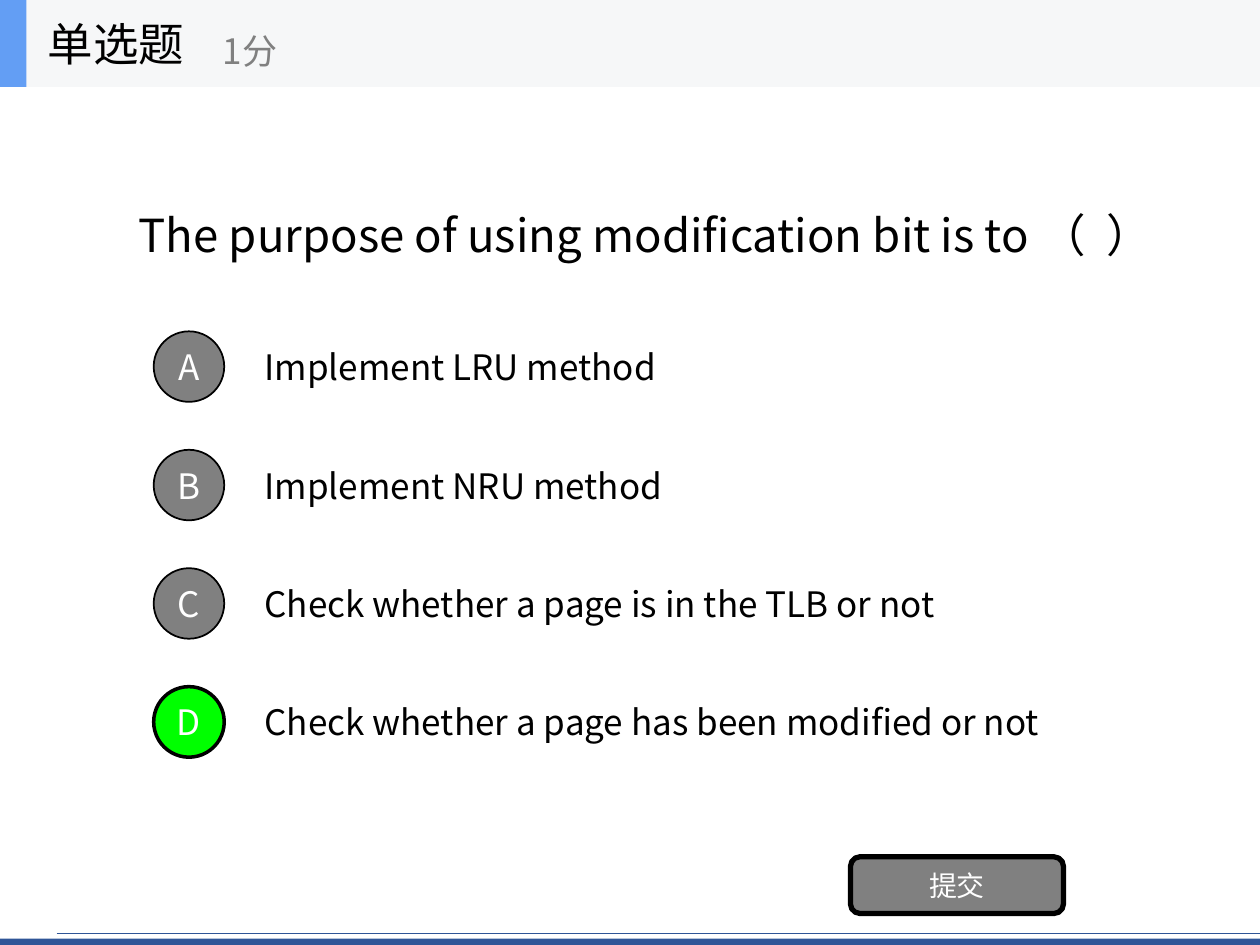
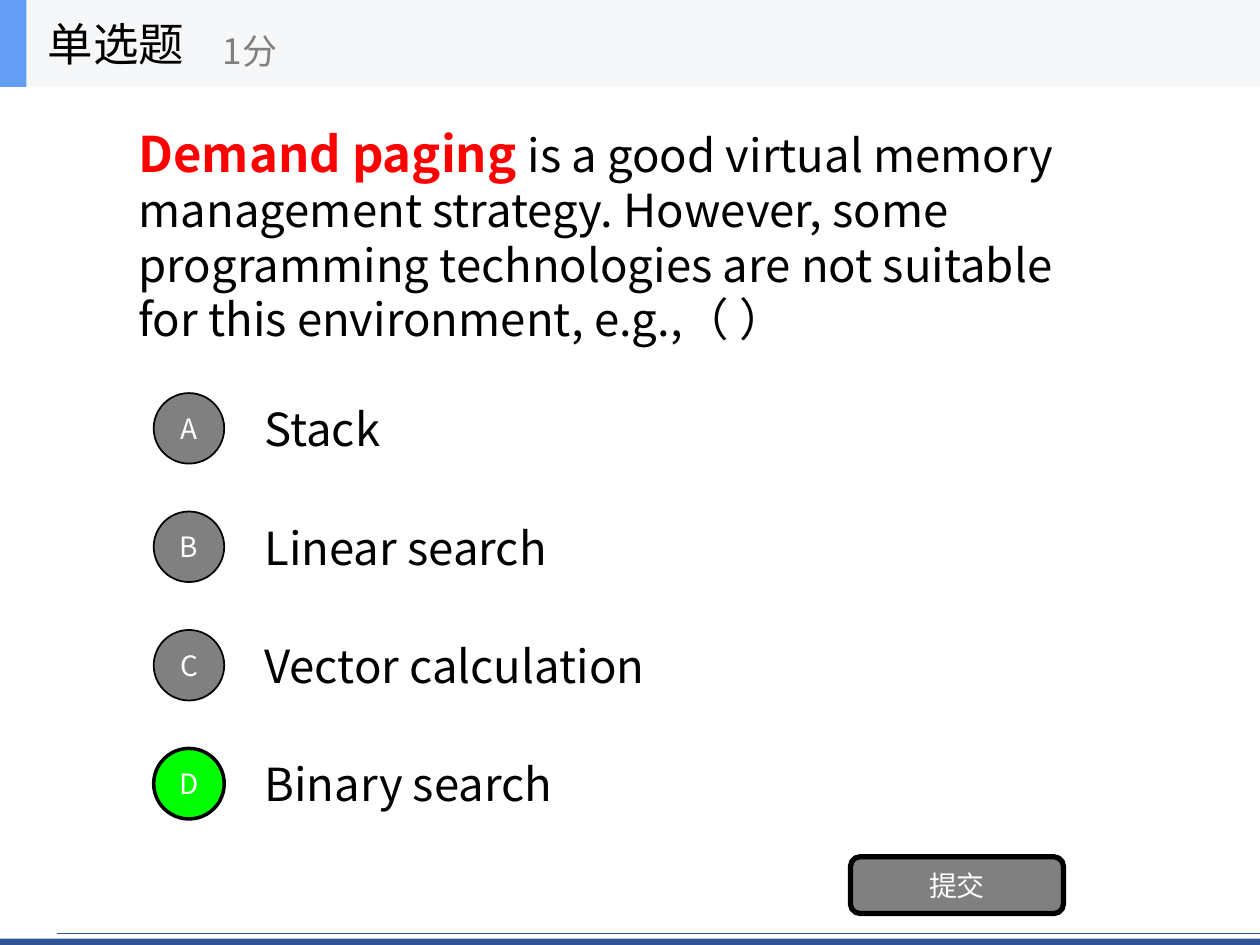
from dataclasses import dataclass

import pptx
import pptx.dml.color
import pptx.enum.shapes
import pptx.enum.text
import pptx.oxml
import pptx.oxml.ns
import pptx.util
from pptx.util import Inches

FONT = "Noto Sans CJK SC"
COLORS = {
    "text": "000000",
    "light": "FFFFFF",
    "grey": "808080",
    "correct": "00FF00",
    "emphasis": "FF0000",
    "header": "F6F7F8",
    "accent": "639EF4",
    "footer": "2F5597",
}
OPTION_PITCH = 0.94
SHAPES = pptx.enum.shapes.MSO_SHAPE
ALIGN = pptx.enum.text.PP_ALIGN
MIDDLE = pptx.enum.text.MSO_ANCHOR.MIDDLE


@dataclass
class Run:
    text: str
    size: float
    color: str = "text"
    bold: bool = False


@dataclass
class Option:
    text: str
    width: float = 7


@dataclass
class Question:
    runs: list[Run]
    width: float
    options: list[Option]
    options_top: float
    option_size: float
    letter_size: float
    answer: str


QUESTIONS = [
    Question(
        runs=[Run("The purpose of using modification bit is to （  ）", 26)],
        width=8.42,
        options=[
            Option("Implement LRU method"),
            Option("Implement NRU method"),
            Option("Check whether a page is in the TLB or not", 7.48),
            Option("Check whether a page has been modified or not", 7.42),
        ],
        options_top=2.56,
        option_size=20,
        letter_size=20,
        answer="D",
    ),
    Question(
        runs=[
            Run("Demand paging ", 28, "emphasis", True),
            Run("is a good virtual memory management strategy. However, some "
                "programming technologies are not suitable for this "
                "environment, e.g.,（ ）", 26),
        ],
        width=8,
        options=[
            Option("Stack"),
            Option("Linear search"),
            Option("Vector calculation"),
            Option("Binary search"),
        ],
        options_top=3.05,
        option_size=26,
        letter_size=16,
        answer="D",
    ),
]


def rgb(name: str) -> pptx.dml.color.RGBColor:
    return pptx.dml.color.RGBColor.from_string(COLORS[name])


def write(sp, runs: list[Run], *, align=ALIGN.LEFT) -> None:
    tf = sp.text_frame
    tf.auto_size = pptx.enum.text.MSO_AUTO_SIZE.NONE
    tf.word_wrap = True
    tf.vertical_anchor = MIDDLE
    p = tf.paragraphs[0]
    p.alignment = align
    for run in runs:
        r = p.add_run()
        r.text = run.text
        r.font.name = FONT
        r.font.size = pptx.util.Pt(run.size)
        r.font.bold = run.bold
        r.font.color.rgb = rgb(run.color)
        ea = pptx.oxml.ns.qn("a:ea")
        r.font._element.find(pptx.oxml.ns.qn("a:latin")).addnext(
            r.font._element.makeelement(ea, {"typeface": FONT}))


def add_text(s, left: float, top: float, width: float, height: float,
             run: Run) -> None:
    sp = s.shapes.add_textbox(Inches(left), Inches(top),
                              Inches(width), Inches(height))
    write(sp, [run])


def add_block(s, kind, left: float, top: float, width: float, height: float,
              fill: str, *, line_width: float = 0, label: Run | None = None) -> None:
    sp = s.shapes.add_shape(kind, Inches(left), Inches(top),
                            Inches(width), Inches(height))
    sp.shadow.inherit = False
    sp.fill.solid()
    sp.fill.fore_color.rgb = rgb(fill)
    if line_width:
        sp.line.color.rgb = rgb("text")
        sp.line.width = pptx.util.Pt(line_width)
    else:
        sp.line.fill.background()
    if label:
        sp.text_frame.margin_left = sp.text_frame.margin_right = 0
        write(sp, [label], align=ALIGN.CENTER)


def add_footer(s) -> None:
    add_block(s, SHAPES.RECTANGLE, 0, 7.45, 10, 0.05, "footer")
    rule = s.shapes.add_connector(pptx.enum.shapes.MSO_CONNECTOR.STRAIGHT,
                                  Inches(0.45), Inches(7.41),
                                  Inches(10), Inches(7.41))
    rule.line.color.rgb = rgb("footer")
    rule.line.width = pptx.util.Pt(0.5)
    rule._element.spPr.append(
        pptx.oxml.parse_xml(f"<a:effectLst {pptx.oxml.ns.nsdecls('a')}/>"))


def add_header(s) -> None:
    add_block(s, SHAPES.RECTANGLE, 0, 0, 10, 0.69, "header")
    add_block(s, SHAPES.RECTANGLE, 0, 0, 0.21, 0.69, "accent")
    add_text(s, 0.28, 0, 2.08, 0.69, Run("单选题", 26))
    add_text(s, 1.67, 0.12, 2.5, 0.56, Run("1分", 20, "grey"))


def add_options(s, question: Question) -> None:
    for i, (letter, option) in enumerate(zip("ABCD", question.options)):
        top = question.options_top + i * OPTION_PITCH
        correct = letter == question.answer
        add_text(s, 2, top, option.width, 0.7,
                 Run(option.text, question.option_size))
        add_block(s, SHAPES.OVAL, 1.22, top + 0.07, 0.56, 0.56,
                  "correct" if correct else "grey",
                  line_width=2 if correct else 1,
                  label=Run(letter, question.letter_size, "light"))


def add_question_slide(prs, question: Question) -> None:
    s = prs.slides.add_slide(prs.slide_layouts.get_by_name("Title Only"))
    title = s.shapes.title
    title.left, title.top = Inches(1), Inches(0.69)
    title.width, title.height = Inches(question.width), Inches(2.34)
    write(title, question.runs)
    add_footer(s)
    add_options(s, question)
    add_block(s, SHAPES.ROUNDED_RECTANGLE, 6.75, 6.8, 1.69, 0.45, "grey",
              line_width=3, label=Run("提交", 16, "light"))
    add_header(s)


def main() -> None:
    prs = pptx.Presentation()
    prs.slide_width, prs.slide_height = Inches(10), Inches(7.5)
    for question in QUESTIONS:
        add_question_slide(prs, question)
    prs.save("out.pptx")


if __name__ == "__main__":
    main()
